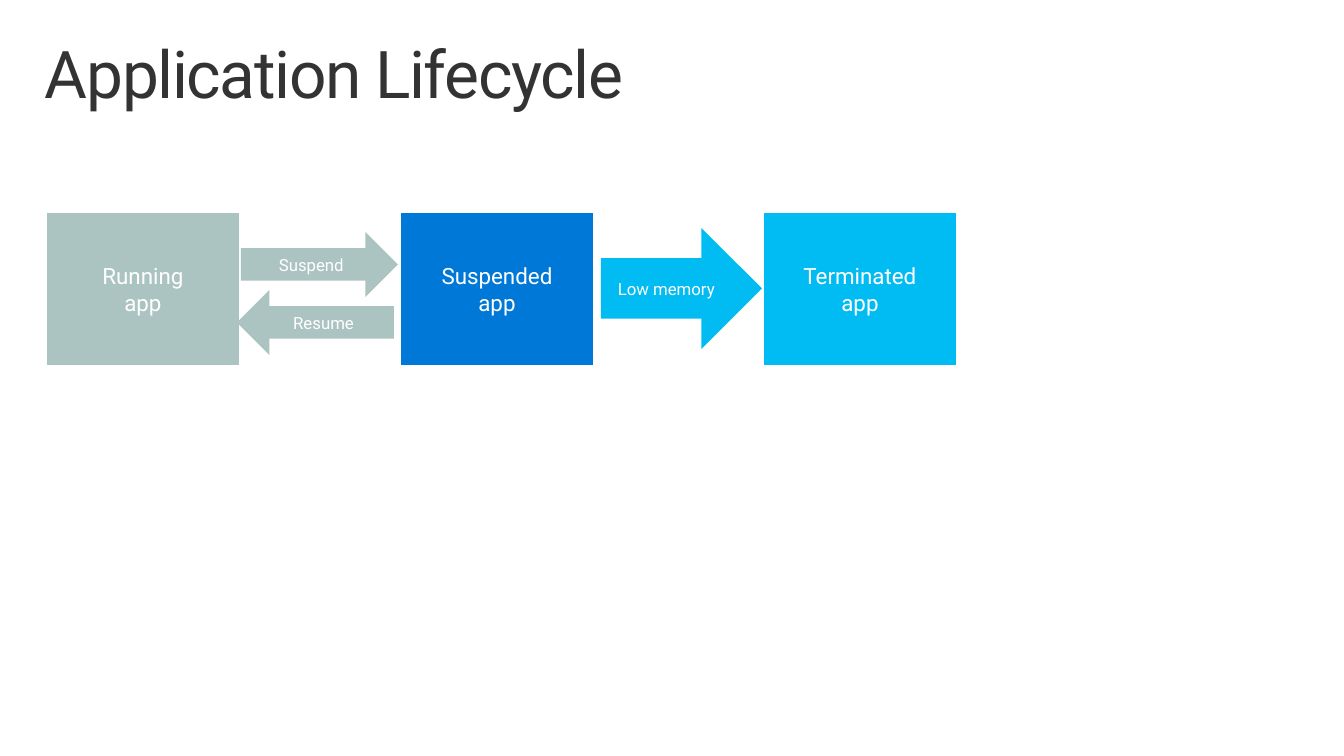
import pptx
import pptx.util
import pptx.dml.color
import pptx.enum.shapes
import pptx.enum.text
from dataclasses import dataclass

SHAPES = pptx.enum.shapes.MSO_SHAPE
ANCHOR = pptx.enum.text.MSO_ANCHOR
ALIGN = pptx.enum.text.PP_ALIGN


@dataclass(frozen=True)
class Theme:
    font: str = "Roboto"
    ink: str = "333333"
    white: str = "FFFFFF"
    running: str = "ABC4C1"
    suspended: str = "0078D7"
    terminated: str = "00BCF2"
    title_size: int = 47
    state_size: int = 16
    arrow_size: int = 12


THEME = Theme()
EMU_PER_PX = 914400 / 100.8
SLIDE_SIZE = (1344, 756)

TITLE = "Application Lifecycle"
TITLE_BOX = (29, 32, 1285, 99)
TITLE_INSETS = (16, 10)

STATE_TOP, STATE_WIDTH, STATE_HEIGHT = 213, 192, 152
STATES = [
    (47, ["Running", "app"], THEME.running),
    (401, ["Suspended\napp"], THEME.suspended),
    (764, ["Terminated", "app"], THEME.terminated),
]
ARROWS = [
    (SHAPES.RIGHT_ARROW, (241, 232, 157, 65), "Suspend", THEME.running),
    (SHAPES.RIGHT_ARROW, (601, 228, 161, 121), "Low memory", THEME.terminated),
    (SHAPES.LEFT_ARROW, (237, 290, 157, 65), "Resume", THEME.running),
]


def px(length):
    return pptx.util.Emu(round(length * EMU_PER_PX))


def rgb(color):
    return pptx.dml.color.RGBColor.from_string(color)


def add_run(paragraph, text, size, color):
    run = paragraph.add_run()
    run.text = text
    run.font.name = THEME.font
    run.font.size = pptx.util.Pt(size)
    run.font.color.rgb = rgb(color)
    return run


def add_title(slide):
    frame = slide.shapes.add_textbox(*map(px, TITLE_BOX)).text_frame
    frame.word_wrap = True
    frame.margin_left = frame.margin_right = px(TITLE_INSETS[0])
    frame.margin_top = frame.margin_bottom = px(TITLE_INSETS[1])
    paragraph = frame.paragraphs[0]
    paragraph.line_spacing = 0.9
    run = add_run(paragraph, TITLE, THEME.title_size, THEME.ink)
    run.font._element.set("spc", "-100")


def add_block(slide, kind, box, paragraphs, size, color):
    shape = slide.shapes.add_shape(kind, *map(px, box))
    shape.shadow.inherit = False
    shape.fill.solid()
    shape.fill.fore_color.rgb = rgb(color)
    shape.line.fill.background()
    frame = shape.text_frame
    frame.word_wrap = True
    frame.vertical_anchor = ANCHOR.MIDDLE
    for index, text in enumerate(paragraphs):
        paragraph = frame.add_paragraph() if index else frame.paragraphs[0]
        paragraph.alignment = ALIGN.CENTER
        for line_index, line in enumerate(text.split("\n")):
            if line_index:
                paragraph.add_line_break()
            add_run(paragraph, line, size, THEME.white)


def main():
    presentation = pptx.Presentation()
    presentation.slide_width, presentation.slide_height = map(px, SLIDE_SIZE)
    slide = presentation.slides.add_slide(presentation.slide_layouts[6])
    add_title(slide)
    for left, paragraphs, color in STATES:
        box = (left, STATE_TOP, STATE_WIDTH, STATE_HEIGHT)
        add_block(slide, SHAPES.FLOWCHART_PROCESS, box, paragraphs, THEME.state_size, color)
    for kind, box, label, color in ARROWS:
        add_block(slide, kind, box, [label], THEME.arrow_size, color)
    presentation.save("out.pptx")


if __name__ == "__main__":
    main()
